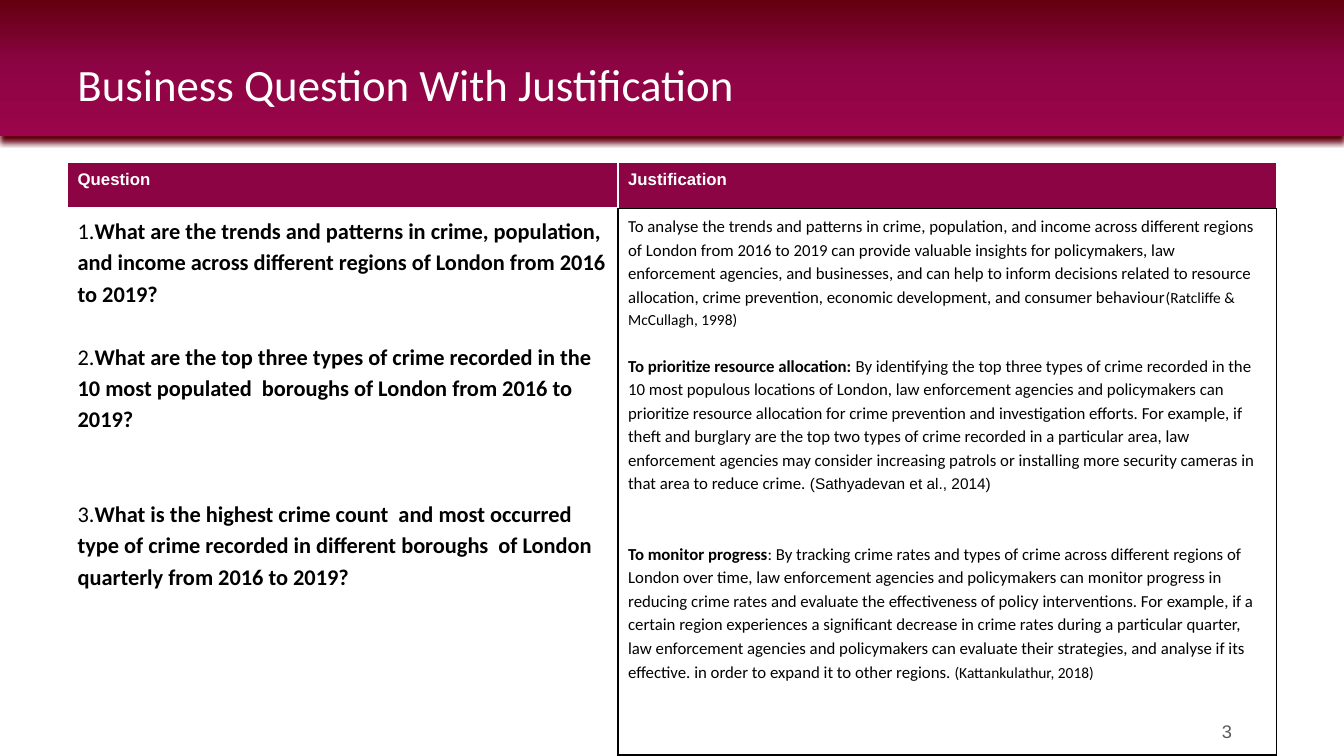
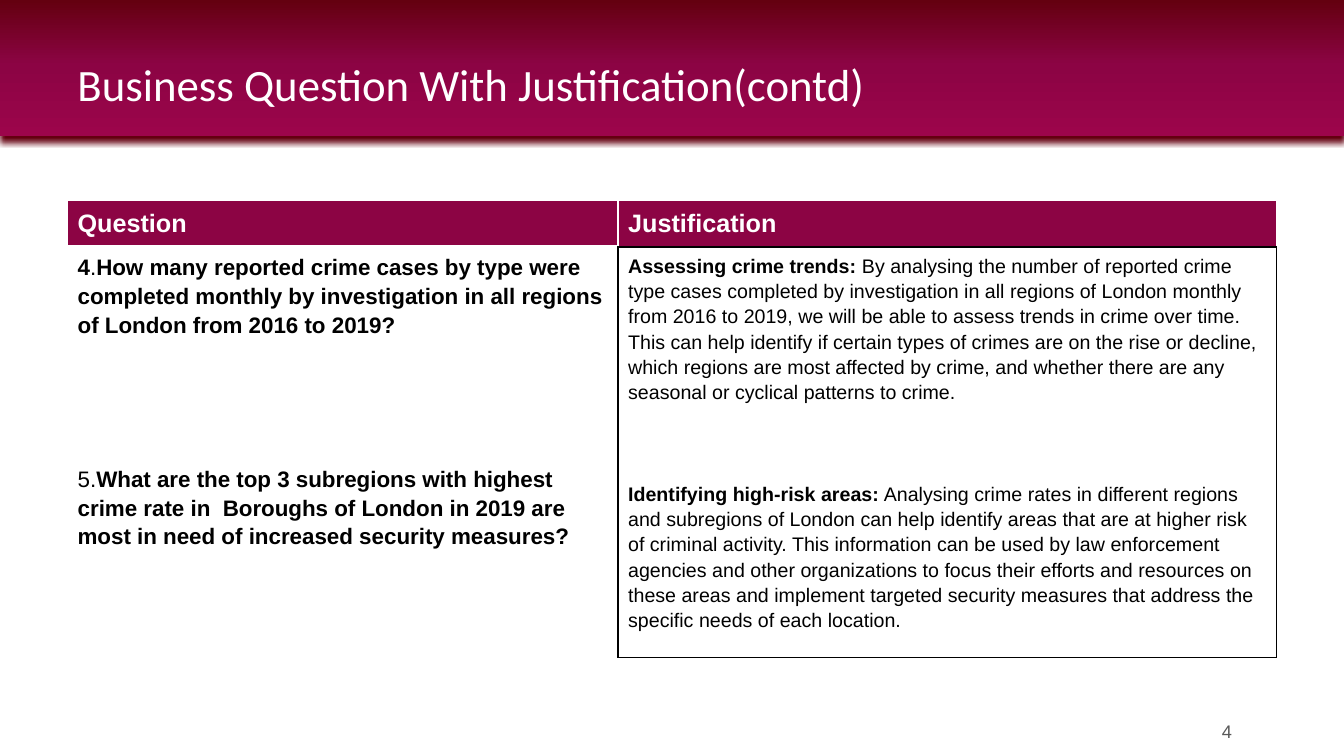
from copy import deepcopy

from lxml import etree
from pptx import Presentation
from pptx.dml.color import RGBColor
from pptx.enum.shapes import MSO_SHAPE
from pptx.enum.text import MSO_ANCHOR
from pptx.oxml.ns import qn
from pptx.util import Inches, Pt

RECT = MSO_SHAPE.RECTANGLE
BOTTOM = MSO_ANCHOR.BOTTOM
MIDDLE = MSO_ANCHOR.MIDDLE
TOP = MSO_ANCHOR.TOP

WINE, DARK, WHITE, BLACK, GREY = "8C0444", "640010", "FFFFFF", "000000", "595959"
STOPS = [(0, DARK), (0.48, WINE), (1, "9C054B")]
SANS, HEAD = "Arial", "Calibri"
WIDTHS = (5.46, 6.53)
LEFT, HEAD_ROW = 0.67, 0.46
LABELS = ("Question", "Justification")
EDGES = [
    [[(WHITE, 1), (WHITE, 1), (WHITE, 1), (WHITE, 3)],
     [(WHITE, 1), (WHITE, 1), (WHITE, 1), (BLACK, 1)]],
    [[(WHITE, 1), (BLACK, 1), (WHITE, 3), (WHITE, 1)],
     [(BLACK, 1)] * 4],
]

# Each paragraph is (space before, runs); a run is (text, bold[, size, font]).
SLIDES = [
    {
        "title": "Business Question With Justification",
        "page": "3", "top": 1.61, "body": 5.42,
        "font": HEAD, "label": 12, "sizes": (16, 12),
        "cells": [
            [
                (0, [("1.", False),
                     ("What are the trends and patterns in crime, population, and income "
                      "across different regions of London from 2016 to 2019?", True)]),
                (22.5, [("2.", False),
                        ("What are the top three types of crime recorded in the 10 most "
                         "populated  boroughs of London from 2016 to 2019?", True)]),
                (45, [("3.", False),
                      ("What is the highest crime count  and most occurred type of crime "
                       "recorded in different boroughs  of London quarterly from 2016 to "
                       "2019?", True)]),
            ],
            [
                (0, [("To analyse the trends and patterns in crime, population, and income "
                      "across different regions of London from 2016 to 2019 can provide "
                      "valuable insights for policymakers, law enforcement agencies, and "
                      "businesses, and can help to inform decisions related to resource "
                      "allocation, crime prevention, economic development, and consumer "
                      "behaviour", False),
                     ("(Ratcliffe & McCullagh, 1998)", False, 11)]),
                (16.8, [("To prioritize resource allocation:", True),
                        (" By identifying the top three types of crime recorded in the 10 "
                         "most populous locations of London, law enforcement agencies and "
                         "policymakers can prioritize resource allocation for crime "
                         "prevention and investigation efforts. For example, if theft and "
                         "burglary are the top two types of crime recorded in a particular "
                         "area, law enforcement agencies may consider increasing patrols or "
                         "installing more security cameras in that area to reduce crime.",
                         False),
                        (" (Sathyadevan et al., 2014)", False, 11, SANS)]),
                (33.6, [("To monitor progress", True),
                        (": By tracking crime rates and types of crime across different "
                         "regions of London over time, law enforcement agencies and "
                         "policymakers can monitor progress in reducing crime rates and "
                         "evaluate the effectiveness of policy interventions. For example, "
                         "if a certain region experiences a significant decrease in crime "
                         "rates during a particular quarter, law enforcement agencies and "
                         "policymakers can evaluate their strategies, and analyse if its "
                         "effective. in order to expand it to other regions.", False),
                        (" (Kattankulathur, 2018)", False, 11)]),
            ],
        ],
    },
    {
        "title": "Business Question With Justification(contd)",
        "page": "4", "top": 1.99, "body": 3.86,
        "font": SANS, "label": 18, "sizes": (16, 14),
        "cells": [
            [
                (0, [("4", True), (".", False),
                     ("How many reported crime cases by type were completed monthly by "
                      "investigation in all regions of London from 2016 to 2019?", True)]),
                (90, [("5.", False),
                      ("What are the top 3 subregions with highest crime rate in  Boroughs "
                       "of London in 2019 are most in need of increased security "
                       "measures?", True)]),
            ],
            [
                (0, [("Assessing crime trends:", True),
                     (" By analysing the number of reported crime type cases completed by "
                      "investigation in all regions of London monthly from 2016 to 2019, we "
                      "will be able to assess trends in crime over time. This can help "
                      "identify if certain types of crimes are on the rise or decline, which "
                      "regions are most affected by crime, and whether there are any "
                      "seasonal or cyclical patterns to crime.", False)]),
                (54.5, [("Identifying high-risk areas:", True),
                        (" Analysing crime rates in different regions and subregions of "
                         "London can help identify areas that are at higher risk of criminal "
                         "activity. This information can be used by law enforcement agencies "
                         "and other organizations to focus their efforts and resources on "
                         "these areas and implement targeted security measures that address "
                         "the specific needs of each location.", False)]),
            ],
        ],
    },
]


def rgb(code):
    return RGBColor.from_string(code)


def add_run(para, text, size, font, color, bold=False):
    run = para.add_run()
    run.text = text
    run.font.size = Pt(size)
    run.font.name = font
    run.font.bold = bold
    run.font.color.rgb = rgb(color)


def add_band(slide):
    band = slide.shapes.add_shape(RECT, 0, 0, Inches(13.33), Inches(1.35))
    band.line.fill.background()
    band.fill.gradient()
    band.fill.gradient_angle = 270
    stops = band._element.spPr.find(".//" + qn("a:gsLst"))
    stops.append(deepcopy(stops[-1]))
    for stop, (place, color) in zip(band.fill.gradient_stops, STOPS):
        stop.position = place
        stop.color.rgb = rgb(color)
    band.shadow.inherit = False
    effects = band._element.spPr.find(qn("a:effectLst"))
    shade = etree.SubElement(effects, qn("a:outerShdw"), blurRad=str(Pt(4)),
                             dist=str(Pt(4)), dir="5400000", algn="t", rotWithShape="0")
    etree.SubElement(shade, qn("a:srgbClr"), val=DARK)


def add_text(slide, box, text, size, font, color, anchor, spacing=1.0):
    frame = slide.shapes.add_textbox(*map(Inches, box)).text_frame
    frame.word_wrap = True
    frame.vertical_anchor = anchor
    para = frame.paragraphs[0]
    para.line_spacing = spacing
    add_run(para, text, size, font, color)


def set_edges(cell, edges):
    props = cell._tc.get_or_add_tcPr()
    for side, (color, width) in zip("LRTB", edges):
        line = etree.SubElement(props, qn("a:ln" + side), w=str(Pt(width)))
        fill = etree.SubElement(line, qn("a:solidFill"))
        etree.SubElement(fill, qn("a:srgbClr"), val=color)


def fill_cell(cell, paras, size, font, color):
    cell.vertical_anchor = TOP
    frame = cell.text_frame
    for i, (gap, runs) in enumerate(paras):
        para = frame.add_paragraph() if i else frame.paragraphs[0]
        para.line_spacing = 1.15
        if i:
            para.space_before = Pt(gap)
        for text, bold, *style in runs:
            own_size, own_font = (style + [size, font][len(style):])
            add_run(para, text, own_size, own_font, color, bold)


def add_grid(slide, data):
    rows = (HEAD_ROW, data["body"])
    frame = slide.shapes.add_table(2, 2, Inches(LEFT), Inches(data["top"]),
                                   Inches(sum(WIDTHS)), Inches(sum(rows)))
    table = frame.table
    table.first_row = table.horz_banding = False
    for row, height in zip(table.rows, rows):
        row.height = Inches(height)
    for col, width in enumerate(WIDTHS):
        table.columns[col].width = Inches(width)
        head, body = table.cell(0, col), table.cell(1, col)
        set_edges(head, EDGES[0][col])
        set_edges(body, EDGES[1][col])
        head.fill.solid()
        head.fill.fore_color.rgb = rgb(WINE)
        body.fill.background()
        fill_cell(head, [(0, [(LABELS[col], True)])], data["label"], SANS, WHITE)
        fill_cell(body, data["cells"][col], data["sizes"][col], data["font"], BLACK)


def main():
    """Build the question and justification slides."""
    deck = Presentation()
    deck.slide_width, deck.slide_height = Inches(13.33), Inches(7.5)
    for data in SLIDES:
        slide = deck.slides.add_slide(deck.slide_layouts[6])
        add_band(slide)
        add_text(slide, (LEFT, 0.15, 12, 1), data["title"], 32, HEAD, WHITE, BOTTOM, 0.9)
        add_grid(slide, data)
        add_text(slide, (12.02, 7.05, 0.85, 0.4), data["page"], 13, SANS, GREY, MIDDLE)
    deck.save("out.pptx")


if __name__ == "__main__":
    main()
